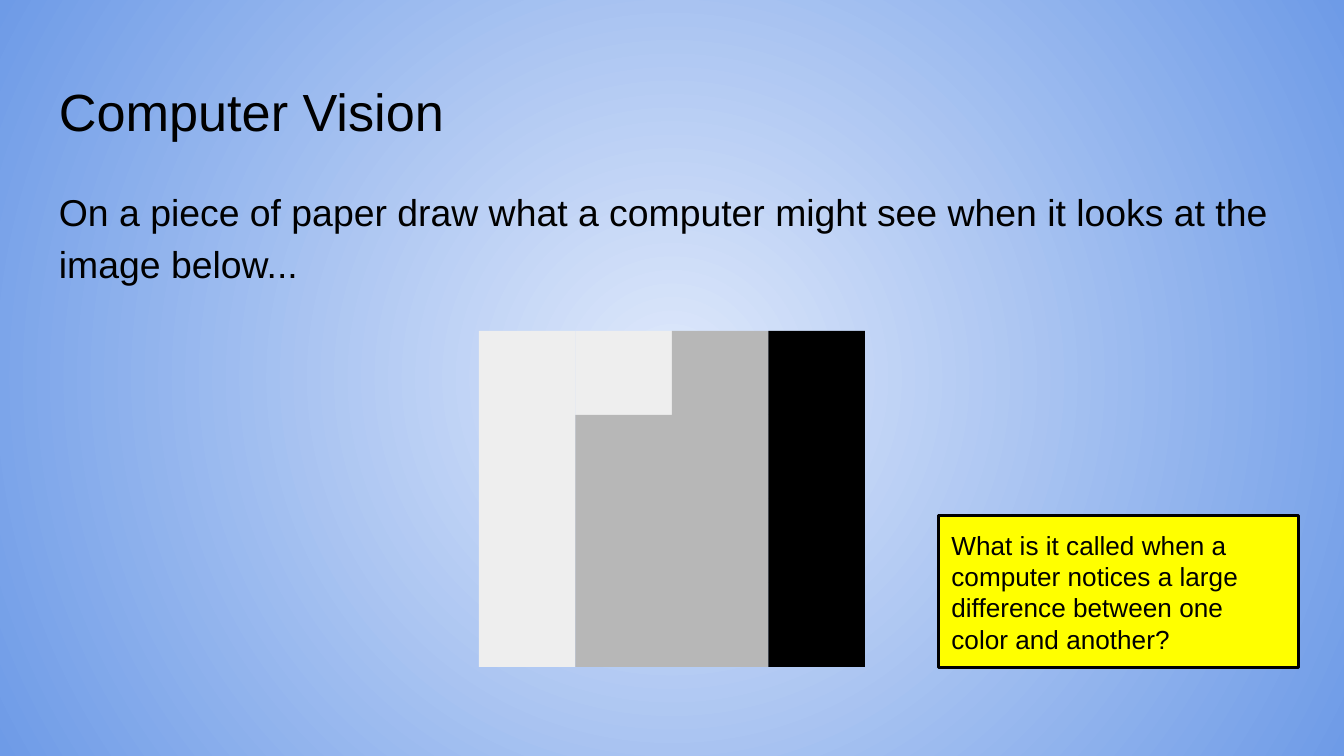
from lxml import etree
from pptx import Presentation
from pptx.dml.color import RGBColor
from pptx.enum.shapes import MSO_SHAPE
from pptx.enum.text import MSO_ANCHOR, PP_ALIGN
from pptx.oxml import parse_xml
from pptx.oxml.ns import nsdecls
from pptx.util import Pt

COLORS = {
    "center": "DFE9FB", "edge": "6E9BE7", "black": "000000",
    "light": "EEEEEE", "gray": "B7B7B7", "yellow": "FFFF00",
}


def color(name):
    return RGBColor.from_string(COLORS[name])


def write_text(shape, text, size, **paragraph_format):
    frame = shape.text_frame
    frame_format = {
        "word_wrap": True, "vertical_anchor": MSO_ANCHOR.TOP,
        "margin_left": Pt(7.2), "margin_right": Pt(7.2),
        "margin_top": Pt(7.2), "margin_bottom": Pt(7.2),
    }
    for name, value in frame_format.items():
        setattr(frame, name, value)
    paragraph = frame.paragraphs[0]
    paragraph.alignment = PP_ALIGN.LEFT
    for name, value in paragraph_format.items():
        setattr(paragraph, name, value)
    run = paragraph.add_run()
    run.text = text
    run.font.name = "Arial"
    run.font.size = Pt(size)
    run.font.color.rgb = color("black")


presentation = Presentation()
presentation.slide_width, presentation.slide_height = Pt(720), Pt(405)
slide = presentation.slides.add_slide(presentation.slide_layouts[6])

# Background: radial gradient from the middle
fill = slide.background.fill
fill.gradient()
for stop, name in zip(fill.gradient_stops, ("center", "edge")):
    stop.color.rgb = color(name)
for position, stop in enumerate(fill.gradient_stops):
    stop.position = position
gradient = slide.element.xpath(".//p:bgPr/a:gradFill")[0]
for linear in gradient.xpath("a:lin"):
    gradient.remove(linear)
gradient.append(parse_xml(
    f'<a:path {nsdecls("a")} path="circle">'
    '<a:fillToRect l="50000" t="50000" r="50000" b="50000"/></a:path>'))

# Title and task
title = slide.shapes.add_textbox(Pt(24.5), Pt(35), Pt(671), Pt(45))
write_text(title, "Computer Vision", 28)
task = slide.shapes.add_textbox(Pt(24.5), Pt(90.7), Pt(671), Pt(65))
write_text(task, "On a piece of paper draw what a computer might see "
           "when it looks at the image below...", 20,
           line_spacing=1.15, space_after=Pt(16))

# Pixel grid, one list per row
pixel_rows = [["light", "light", "gray", "black"]]
pixel_rows += [["light", "gray", "gray", "black"]] * 3
grid_left, grid_top, pixel_width, pixel_height = 256.6, 177.3, 51.7, 45
for row, names in enumerate(pixel_rows):
    for column, name in enumerate(names):
        pixel = slide.shapes.add_shape(
            MSO_SHAPE.RECTANGLE,
            Pt(grid_left + column * pixel_width),
            Pt(grid_top + row * pixel_height),
            Pt(pixel_width), Pt(pixel_height))
        pixel.shadow.inherit = False
        pixel.fill.solid()
        pixel.fill.fore_color.rgb = color(name)
        pixel.line.fill.background()

# Question box
question = slide.shapes.add_shape(
    MSO_SHAPE.RECTANGLE, Pt(502.6), Pt(276.2), Pt(193.2), Pt(81.2))
question.shadow.inherit = False
question.fill.solid()
question.fill.fore_color.rgb = color("yellow")
question.line.color.rgb = color("black")
question.line.width = Pt(1.5)
write_text(question, "What is it called when a computer notices a large "
           "difference between one color and another?", 14)

presentation.save("out.pptx")
